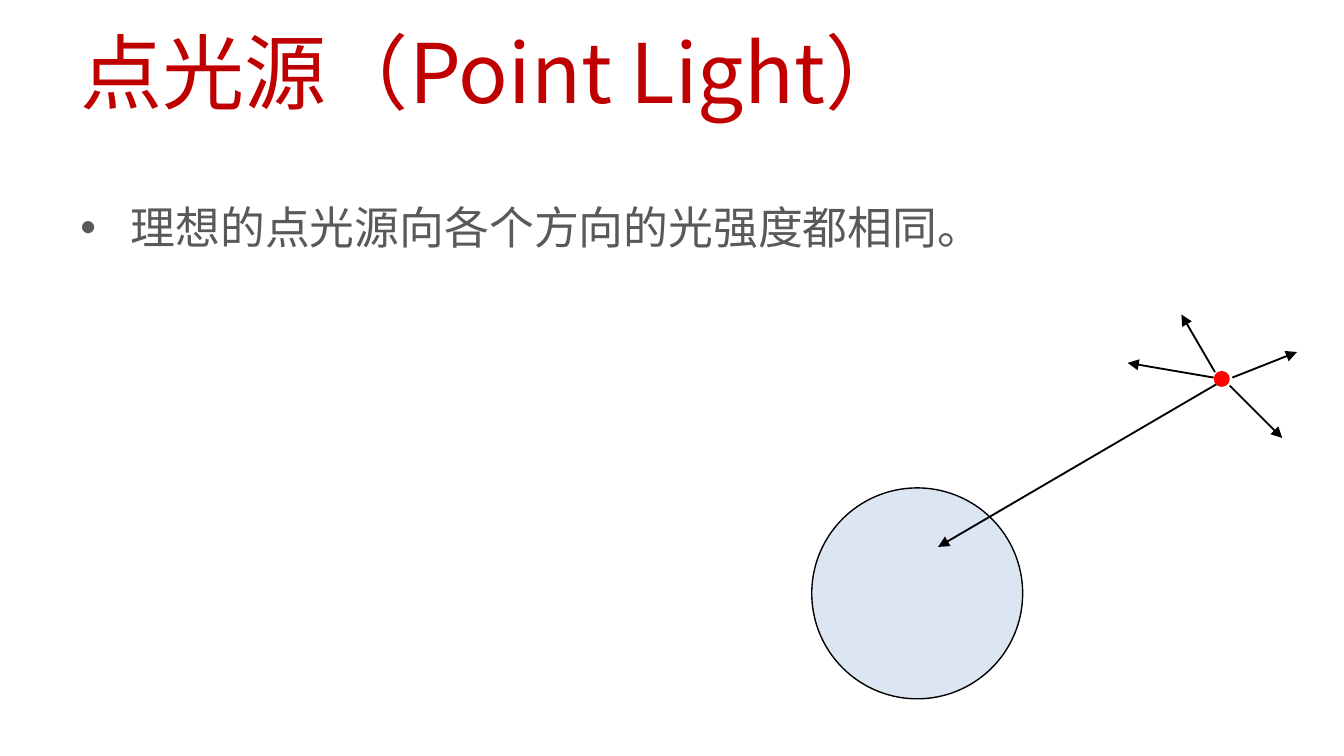
from lxml.etree import SubElement
from pptx import Presentation
from pptx.dml.color import RGBColor
from pptx.enum.shapes import MSO_CONNECTOR, MSO_SHAPE
from pptx.enum.text import MSO_ANCHOR
from pptx.oxml.ns import qn
from pptx.util import Pt

TITLE = "点光源（Point Light）"
BULLET = "理想的点光源向各个方向的光强度都相同。"
FONT = "Noto Sans CJK SC"

DARK_RED = RGBColor(0xC0, 0x00, 0x00)
GRAY = RGBColor(0x59, 0x59, 0x59)
BLACK = RGBColor(0x00, 0x00, 0x00)
RED = RGBColor(0xFF, 0x00, 0x00)
PALE_BLUE = RGBColor(0xDC, 0xE6, 0xF2)

# Rays as (start, tip), in points
SHORT_RAYS = [
    ((650.9, 199.4), (632.9, 168.5)),
    ((650.2, 202.3), (604.1, 194.4)),
    ((660.2, 202.3), (694.8, 188.6)),
    ((658.8, 206.6), (686.9, 234.7)),
]
RAY_TO_SPHERE = ((651.6, 205.9), (502.6, 293))

# Circles as (left, top, diameter), in points
LIGHT = (650.2, 198.7, 8.6)
SPHERE = (434.9, 261.4, 113)


def add_text(page, text, left, top, width, height, *, size, color,
             anchor=MSO_ANCHOR.TOP, bullet=None, indent=0, line_spacing=None):
    box = page.shapes.add_textbox(Pt(left), Pt(top), Pt(width), Pt(height))
    frame = box.text_frame
    frame.word_wrap = True
    frame.vertical_anchor = anchor
    para = frame.paragraphs[0]
    if line_spacing:
        para.line_spacing = line_spacing
    if bullet:
        properties = para._p.get_or_add_pPr()
        properties.set("marL", str(Pt(indent)))
        properties.set("indent", str(-Pt(indent)))
        SubElement(properties, qn("a:buFont"), typeface="Arial")
        SubElement(properties, qn("a:buChar"), char=bullet)
    span = para.add_run()
    span.text = text
    span.font.size = Pt(size)
    span.font.name = FONT
    span.font.color.rgb = color
    SubElement(span._r.get_or_add_rPr(), qn("a:ea"), typeface=FONT)


def add_circle(page, left, top, diameter, *, fill, outline=None):
    circle = page.shapes.add_shape(
        MSO_SHAPE.OVAL, Pt(left), Pt(top), Pt(diameter), Pt(diameter))
    circle.shadow.inherit = False
    circle.fill.solid()
    circle.fill.fore_color.rgb = fill
    if outline is None:
        circle.line.fill.background()
    else:
        circle.line.color.rgb = outline
        circle.line.width = Pt(0.75)


def add_ray(page, start, tip):
    ray = page.shapes.add_connector(
        MSO_CONNECTOR.STRAIGHT, *(Pt(value) for value in start + tip))
    ray.line.color.rgb = BLACK
    ray.line.width = Pt(1)
    SubElement(ray.line._get_or_add_ln(), qn("a:tailEnd"), type="triangle")
    SubElement(ray._element.spPr, qn("a:effectLst"))


def main():
    deck = Presentation()
    deck.slide_width, deck.slide_height = Pt(720), Pt(405)
    page = deck.slides.add_slide(deck.slide_layouts[6])

    add_text(page, TITLE, 36, 10, 648, 56, size=44, color=DARK_RED,
             anchor=MSO_ANCHOR.MIDDLE)
    add_text(page, BULLET, 36, 89.3, 648, 309, size=24, color=GRAY,
             bullet="•", indent=27, line_spacing=1.5)

    for start, tip in SHORT_RAYS:
        add_ray(page, start, tip)
    add_circle(page, *LIGHT, fill=RED)
    add_circle(page, *SPHERE, fill=PALE_BLUE, outline=BLACK)
    add_ray(page, *RAY_TO_SPHERE)

    deck.save("out.pptx")


if __name__ == "__main__":
    main()
